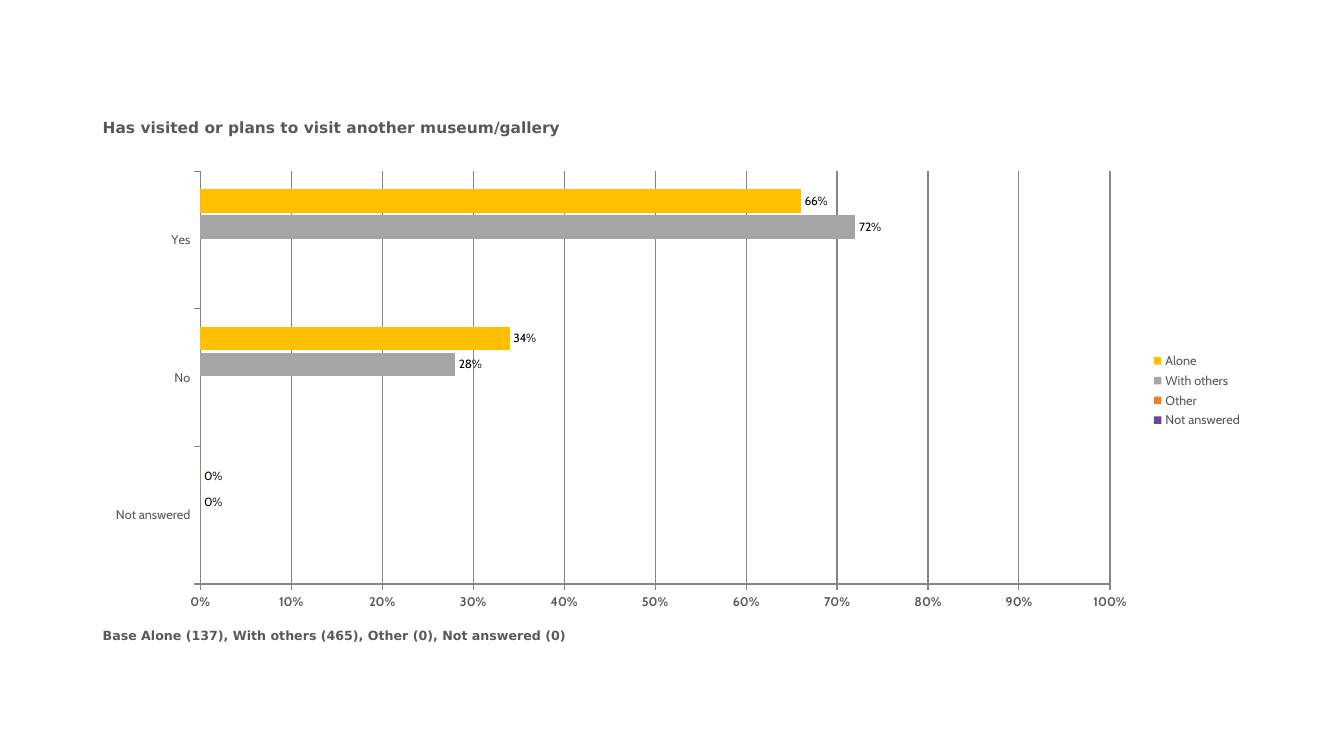
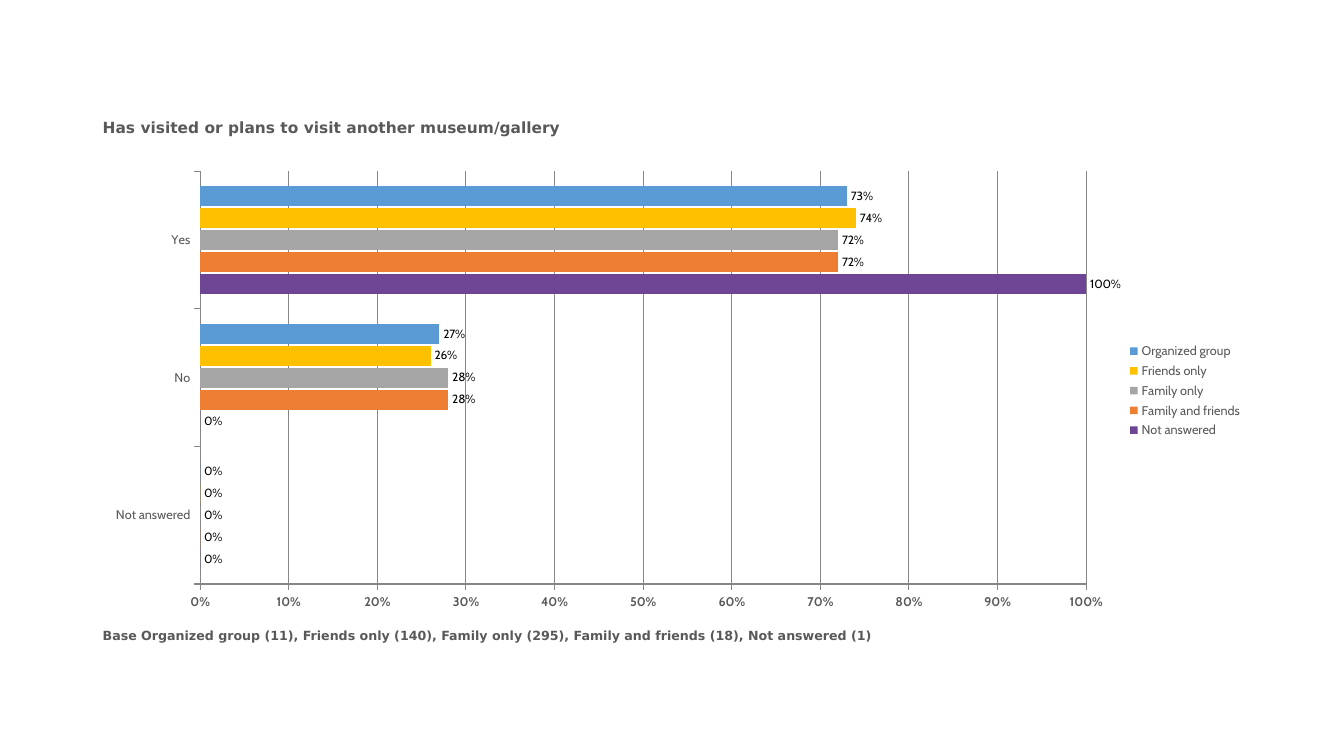
from pptx import Presentation
from pptx.chart.data import CategoryChartData
from pptx.dml.color import RGBColor
from pptx.enum.chart import (XL_CHART_TYPE, XL_LABEL_POSITION,
                             XL_LEGEND_POSITION, XL_TICK_LABEL_POSITION,
                             XL_TICK_MARK)
from pptx.util import Inches, Pt

BAR = XL_CHART_TYPE.BAR_CLUSTERED
OUTSIDE_END = XL_LABEL_POSITION.OUTSIDE_END
RIGHT = XL_LEGEND_POSITION.RIGHT
LOW = XL_TICK_LABEL_POSITION.LOW
TICK_OUT, TICK_NONE = XL_TICK_MARK.OUTSIDE, XL_TICK_MARK.NONE

COLORS = {"text": "595959", "label": "000000", "line": "868686",
          "purple": "6E4595", "orange": "ED7D31", "gray": "A5A5A5",
          "yellow": "FFC000", "blue": "5B9BD5"}
SERIES_COLORS = ["purple", "orange", "gray", "yellow", "blue"]
TEXT_FONT, CHART_FONT = "DejaVu Sans", "Cabin"

SLIDE_W, SLIDE_H = Inches(13.33), Inches(7.5)
LEFT, WIDTH = Inches(0.92), Inches(11.5)
# Top and height of each row of the page
TITLE_ROW = Inches(1.12), Inches(0.51)
CHART_ROW = Inches(1.61), Inches(4.53)
BASE_ROW = Inches(6.18), Inches(0.43)

TITLE = "Has visited or plans to visit another museum/gallery"
CATEGORIES = ["Not answered", "No", "Yes"]
NO_ANSWERS = [None, None, None]
PAGES = [
    ("Base Alone (137), With others (465), Other (0), Not answered (0)",
     [("Not answered", NO_ANSWERS),
      ("Other", NO_ANSWERS),
      ("With others", [0, 0.28, 0.72]),
      ("Alone", [0, 0.34, 0.66])]),
    ("Base Organized group (11), Friends only (140), Family only (295), "
     "Family and friends (18), Not answered (1)",
     [("Not answered", [0, 0, 1]),
      ("Family and friends", [0, 0.28, 0.72]),
      ("Family only", [0, 0.28, 0.72]),
      ("Friends only", [0, 0.26, 0.74]),
      ("Organized group", [0, 0.27, 0.73])]),
]


def rgb(name):
    return RGBColor.from_string(COLORS[name])


def style_font(font, size, name=CHART_FONT, color="text", bold=False):
    font.size, font.name, font.bold = Pt(size), name, bold
    font.color.rgb = rgb(color)


def style_line(line):
    line.color.rgb = rgb("line")
    line.width = Pt(0.75)


def add_text(slide, text, row, **font_format):
    top, height = row
    tf = slide.shapes.add_textbox(LEFT, top, WIDTH, height).text_frame
    tf.word_wrap = True
    r = tf.paragraphs[0].add_run()
    r.text = text
    style_font(r.font, name=TEXT_FONT, **font_format)


def style_axis(axis, bold=False):
    axis.tick_label_position = LOW
    axis.major_tick_mark, axis.minor_tick_mark = TICK_OUT, TICK_NONE
    style_line(axis.format.line)
    style_font(axis.tick_labels.font, 9, bold=bold)


def style_percent_axis(axis):
    style_axis(axis, bold=True)
    axis.minimum_scale, axis.maximum_scale, axis.major_unit = 0, 1, 0.1
    axis.has_major_gridlines = True
    style_line(axis.major_gridlines.format.line)
    axis.tick_labels.number_format = "0%"
    axis.tick_labels.number_format_is_linked = False


def style_series(series, color):
    series.format.fill.solid()
    series.format.fill.fore_color.rgb = rgb(color)
    labels = series.data_labels
    labels.show_value = True
    labels.position = OUTSIDE_END
    labels.number_format = "0%"
    labels.number_format_is_linked = False
    style_font(labels.font, 8.5, color="label")


def add_bar_chart(slide, series_values):
    data = CategoryChartData(number_format="0%")
    data.categories = CATEGORIES
    for name, values in series_values:
        data.add_series(name, values)
    top, height = CHART_ROW
    chart = slide.shapes.add_chart(BAR, LEFT, top, WIDTH, height, data).chart
    chart.has_title = False
    style_font(chart.font, 18, name="Calibri", color="label")
    chart.has_legend = True
    chart.legend.position = RIGHT
    chart.legend.include_in_layout = False
    style_font(chart.legend.font, 9)
    style_axis(chart.category_axis)
    style_percent_axis(chart.value_axis)
    plot = chart.plots[0]
    plot.vary_by_categories = False
    plot.gap_width, plot.overlap = 150, -10
    for series, color in zip(plot.series, SERIES_COLORS):
        style_series(series, color)


def main():
    prs = Presentation()
    prs.slide_width, prs.slide_height = SLIDE_W, SLIDE_H
    for base, series_values in PAGES:
        slide = prs.slides.add_slide(prs.slide_layouts[6])
        add_text(slide, TITLE, TITLE_ROW, size=11, bold=True)
        add_text(slide, base, BASE_ROW, size=9, bold=True)
        add_bar_chart(slide, series_values)
    prs.save("out.pptx")


if __name__ == "__main__":
    main()
